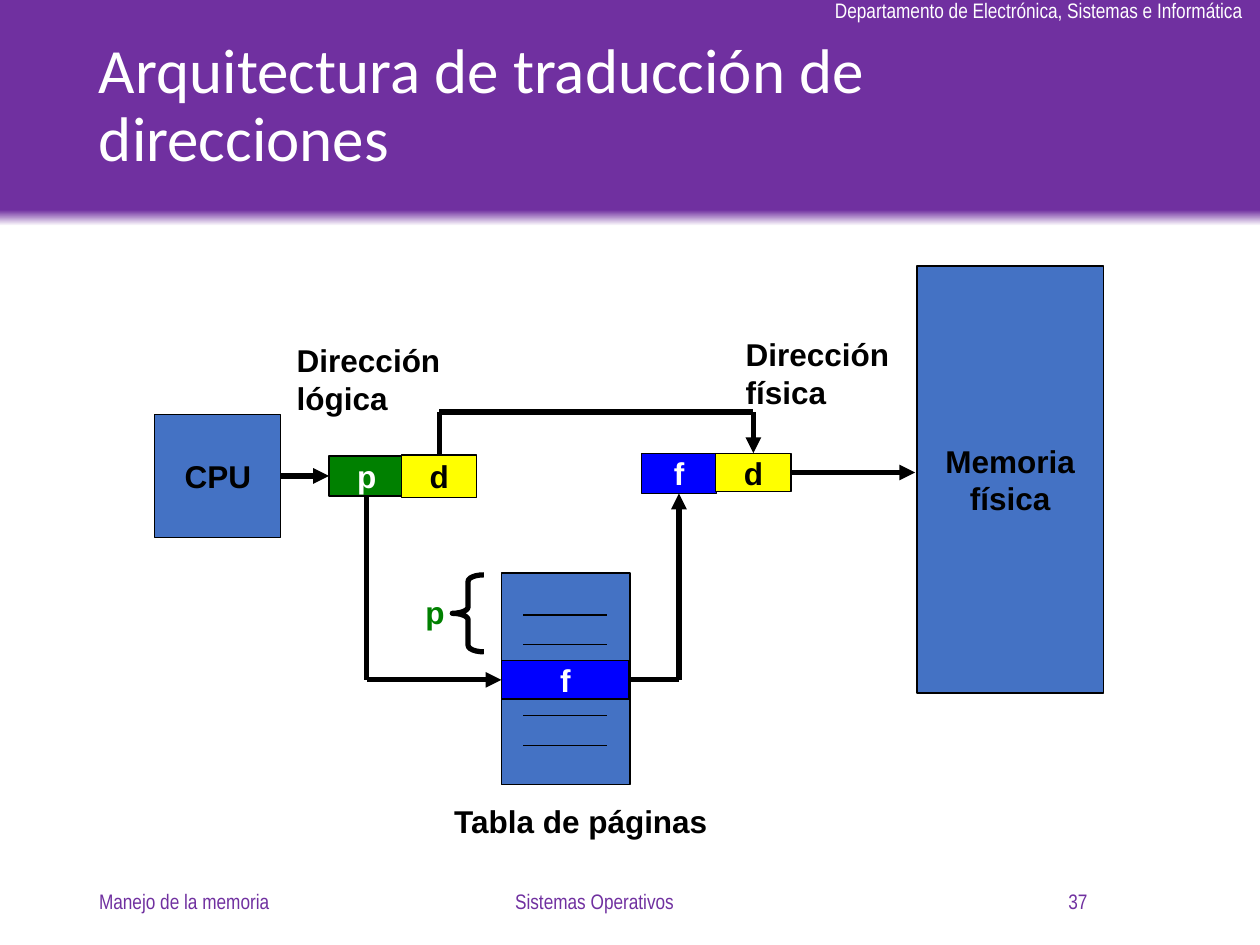
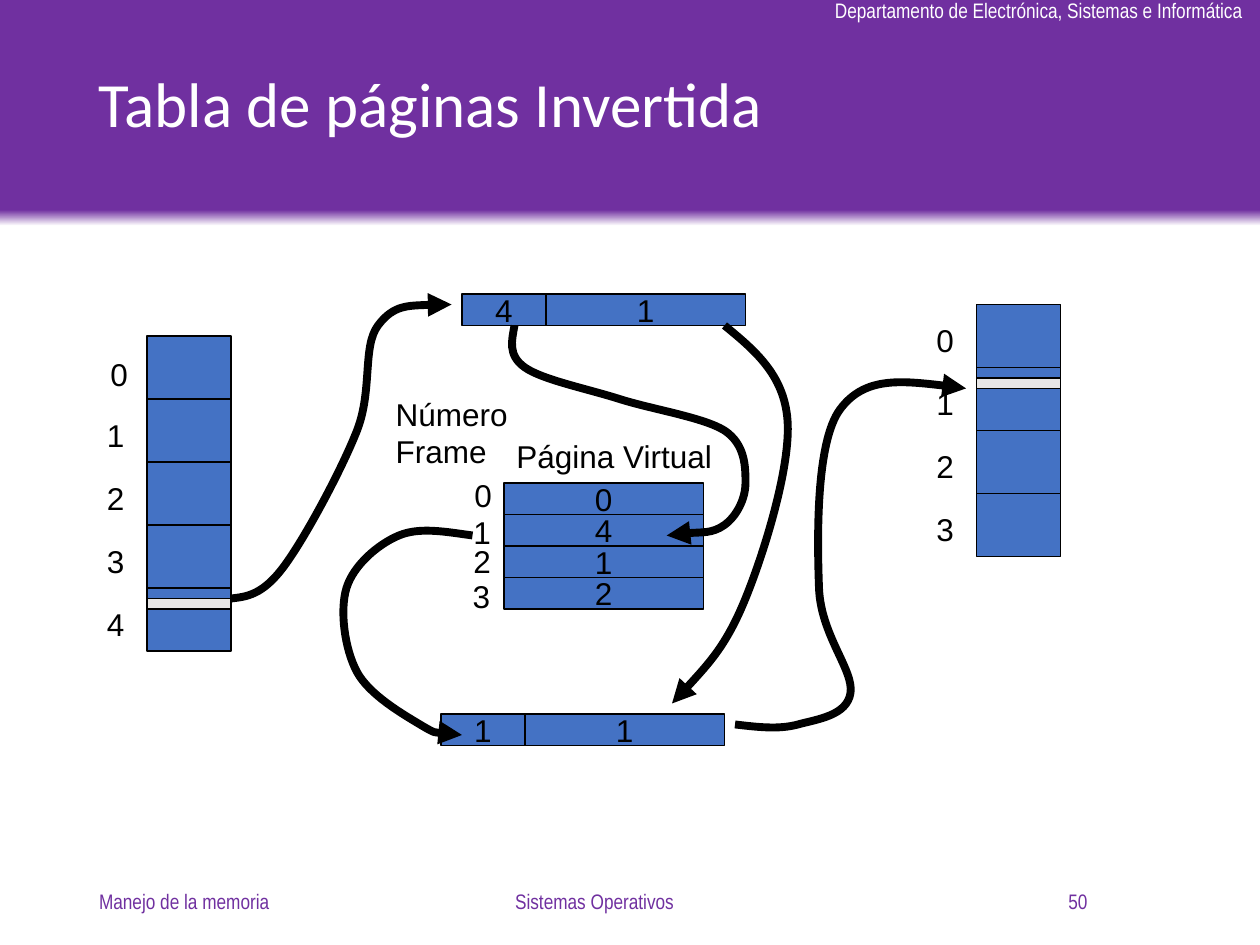
"""Build two slides on paged memory: address lookup and the inverted table."""
from dataclasses import dataclass
from itertools import pairwise

from lxml.etree import SubElement as Sub
from pptx import Presentation as Deck
from pptx.dml.color import RGBColor as Rgb
from pptx.enum.shapes import MSO_CONNECTOR as Link, MSO_SHAPE as Kind
from pptx.enum.text import MSO_ANCHOR as Anchor, PP_ALIGN as Align
from pptx.oxml.ns import qn
from pptx.util import Pt

TOP, LEFT, BOTTOM, RIGHT = range(4)


@dataclass(frozen=True)
class Theme:
    """Hold the colours, fonts, type sizes and line widths."""
    purple: str = "7030A0"
    blue: str = "4472C4"
    deep: str = "0000FF"
    green: str = "008000"
    yellow: str = "FFFF00"
    gray: str = "E7E6E6"
    black: str = "000000"
    white: str = "FFFFFF"
    head: str = "Calibri"
    body: str = "Arial"
    small: str = "Arial Narrow"
    title: int = 36
    label: int = 18
    note: int = 12
    thin: float = 0.75
    thick: float = 3
    heavy: float = 4.5


T = Theme()


def write(shape, text, size=T.label, font=T.body, color=T.black, bold=False,
          align=Align.LEFT, anchor=Anchor.TOP, wrap=False, space=None):
    """Put formatted text into a shape, one paragraph per line."""
    frame = shape.text_frame
    frame.text = text
    frame.word_wrap = wrap
    frame.vertical_anchor = anchor
    for para in frame.paragraphs:
        para.alignment = align
        para.line_spacing = space
        para.font.size = Pt(size)
        para.font.name = font
        para.font.bold = bold
        para.font.color.rgb = Rgb.from_string(color)


def label(slide, text, x, y, w, h, **style):
    """Add a text box."""
    write(slide.shapes.add_textbox(Pt(x), Pt(y), Pt(w), Pt(h)), text, **style)


def stroke(shape, width, arrow=False):
    """Give a shape a black line, with an arrowhead at its end on request."""
    shape.line.width = Pt(width)
    shape.line.color.rgb = Rgb.from_string(T.black)
    if arrow:
        Sub(shape.element.spPr.find(qn("a:ln")), qn("a:tailEnd"), type="triangle")


def block(slide, x, y, w, h, text="", fill=T.blue, **style):
    """Add an outlined rectangle with centred text."""
    rect = slide.shapes.add_shape(Kind.RECTANGLE, Pt(x), Pt(y), Pt(w), Pt(h))
    rect.shadow.inherit = False
    rect.fill.solid()
    rect.fill.fore_color.rgb = Rgb.from_string(fill)
    stroke(rect, T.thin)
    if text:
        write(rect, text, align=Align.CENTER, anchor=Anchor.MIDDLE, **style)
    return rect


def stack(slide, x, y, w, h, texts):
    """Pile up equal blocks, one for each text."""
    for row, text in enumerate(texts):
        block(slide, x, y + row * h, w, h, text)


def route(slide, points, start=None, end=None, width=T.thick, arrow=True):
    """Run straight lines through points, joined to (shape, side) pairs."""
    lines = []
    for (x1, y1), (x2, y2) in pairwise(points):
        lines.append(slide.shapes.add_connector(
            Link.STRAIGHT, Pt(x1), Pt(y1), Pt(x2), Pt(y2)))
    for line in lines:
        stroke(line, width, arrow and line is lines[-1])
        Sub(line.element.spPr, qn("a:effectLst"))
    if start:
        lines[0].begin_connect(*start)
    if end:
        lines[-1].end_connect(*end)


def curve(slide, first, *points):
    """Draw a curved arrow; every three points make one Bezier piece."""
    pen = slide.shapes.build_freeform(Pt(first[0]), Pt(first[1]), scale=1.0)
    pen.add_line_segments([(Pt(x), Pt(y)) for x, y in points], close=False)
    shape = pen.convert_to_shape()
    shape.shadow.inherit = False
    shape.fill.background()
    stroke(shape, T.heavy, arrow=True)
    trace = next(shape.element.iter(qn("a:path")))
    steps = trace.findall(qn("a:lnTo"))
    for i in range(0, len(steps), 3):
        piece = Sub(trace, qn("a:cubicBezTo"))
        for step in steps[i:i + 3]:
            piece.append(step[0])
            trace.remove(step)


def tags(slide, spots):
    """Number the given spots from zero."""
    for num, (x, y) in enumerate(spots):
        label(slide, str(num), x, y, 24.5, 29)


def page(deck, title, num):
    """Add a slide with the shared band, title and footers."""
    slide = deck.slides.add_slide(deck.slide_layouts[6])
    band = slide.shapes.add_shape(Kind.RECTANGLE, 0, 0, Pt(720), Pt(129))
    band.shadow.inherit = False
    band.line.fill.background()
    band.fill.gradient()
    band.fill.gradient_angle = 90
    for stop, spot, color in zip(band.fill.gradient_stops, (0, 0.07), (T.white, T.purple)):
        stop.position = spot
        stop.color.rgb = Rgb.from_string(color)
    label(slide, "Departamento de Electrónica, Sistemas e Informática",
          470, -5, 250.5, 21.5, size=T.note, font=T.small, color=T.white)
    label(slide, title, 49.5, 11, 621, 100, size=T.title, font=T.head,
          color=T.white, anchor=Anchor.MIDDLE, wrap=True, space=0.9)
    for text, x, w, align in (("Manejo de la memoria", 49.5, 162, Align.LEFT),
                              ("Sistemas Operativos", 218, 243.5, Align.CENTER),
                              (num, 466.5, 162, Align.RIGHT)):
        label(slide, text, x, 500.5, w, 29, size=T.note, font=T.small,
              color=T.purple, align=align, anchor=Anchor.MIDDLE, wrap=True)
    return slide


def lookup(deck):
    """Show how a logical address becomes a physical one."""
    slide = page(deck, "Arquitectura de traducción de direcciones", "37")
    cpu = block(slide, 88.5, 237, 72, 70, "CPU", bold=True)
    virt = block(slide, 188, 260.5, 43, 23, "p", T.green, color=T.white, bold=True)
    shift = block(slide, 229.5, 260, 43, 24.5, "d", T.yellow, bold=True)
    frame = block(slide, 366.5, 259, 43, 23, "f", T.deep, color=T.white, bold=True)
    copied = block(slide, 409, 259, 43, 22, "d", T.yellow, bold=True)
    block(slide, 524, 152, 106.5, 244, "Memoria física", bold=True, wrap=True)

    block(slide, 286.5, 327.5, 73.5, 121)
    for y in (351.5, 368.5, 409, 426):
        route(slide, [(299, y), (347, y)], width=T.thin, arrow=False)
    entry = block(slide, 286.5, 377.5, 73, 22, "f", T.deep, color=T.white, bold=True)

    route(slide, [(160.5, 272), (188, 272)], (cpu, RIGHT), (virt, LEFT))
    route(slide, [(251, 260), (251, 235.5), (430.5, 235.5), (430.5, 259)],
          (shift, TOP), (copied, TOP))
    route(slide, [(209.5, 283.5), (209.5, 388.5), (286.5, 388.5)],
          (virt, BOTTOM), (entry, LEFT))
    route(slide, [(359.5, 388.5), (388, 388.5), (388, 282)],
          (entry, RIGHT), (frame, BOTTOM))
    route(slide, [(452, 270), (523, 270)], (copied, RIGHT))

    brace = slide.shapes.add_shape(Kind.LEFT_BRACE, Pt(258.5), Pt(328.5), Pt(18), Pt(44))
    brace.shadow.inherit = False
    brace.fill.background()
    brace.adjustments[0] = 0.205
    stroke(brace, T.thick)
    label(slide, "p", 236, 335.5, 25, 29, color=T.green, bold=True)
    label(slide, "Dirección\nlógica", 162.5, 191.5, 96.5, 50.5, bold=True)
    label(slide, "Dirección\nfísica", 419, 188, 96.5, 50.5, bold=True)
    label(slide, "Tabla de páginas", 252.5, 454.5, 160.5, 29, bold=True)


def invert(deck):
    """Show a lookup through the inverted page table."""
    slide = page(deck, "Tabla de páginas Invertida", "50")
    stack(slide, 288, 276, 114, 18, "0412")
    stack(slide, 558, 174, 48, 36, [""] * 4)
    stack(slide, 84, 192, 48, 36, [""] * 5)
    for x, y in ((84, 342), (558, 216)):
        block(slide, x, y, 48, 6, fill=T.gray)
    for x, y, high, low in ((264, 168, "4", "1"), (252, 408, "1", "1")):
        block(slide, x + 48, y, 114, 18, low)
        block(slide, x, y, 48, 18, high)

    tags(slide, [(264, 268.5), (263.5, 289.5), (263.5, 306), (263, 326)])
    tags(slide, [(528, 180 + 36 * i) for i in range(4)])
    tags(slide, [(56, 199.5)] + [(54, 234 + 36 * i) for i in range(4)])
    label(slide, "Número\nFrame", 219, 222, 78.5, 50.5)
    label(slide, "Página Virtual", 288, 246, 127, 29)

    curve(slide, (294, 186), (292.5, 194.5), (290, 203), (300, 210),
          (310, 217), (335, 222), (354, 228), (373, 234), (402, 238.5), (414, 246),
          (426, 254), (426, 267), (426, 276), (426, 285), (421, 295), (414, 300),
          (407, 305), (387, 304.5), (381, 306))
    curve(slide, (270, 306), (255, 304), (240, 301), (228, 306),
          (216, 311), (202, 323), (198, 336), (194, 349), (197, 371), (204, 384),
          (211, 397), (230, 408), (240, 414), (250, 420), (257, 420), (264, 420))
    curve(slide, (420, 414), (433, 415.5), (445, 417), (456, 414),
          (467, 411), (484, 409), (486, 396), (488, 383), (469, 363), (468, 336),
          (467, 309), (466, 253), (480, 234), (494, 215), (523, 218), (552, 222))
    curve(slide, (132, 342), (141, 341), (150, 340), (162, 324),
          (174, 308), (195, 269), (204, 246), (213, 223), (207, 198), (216, 186),
          (225, 174), (241, 174), (258, 174))
    curve(slide, (414, 186), (431, 200), (448, 214), (450, 240),
          (452, 266), (437, 315), (426, 342), (415, 369), (400, 385), (384, 402))


def main():
    """Build and save the deck."""
    deck = Deck()
    deck.slide_width, deck.slide_height = Pt(720), Pt(540)
    lookup(deck)
    invert(deck)
    deck.save("out.pptx")


if __name__ == "__main__":
    main()
